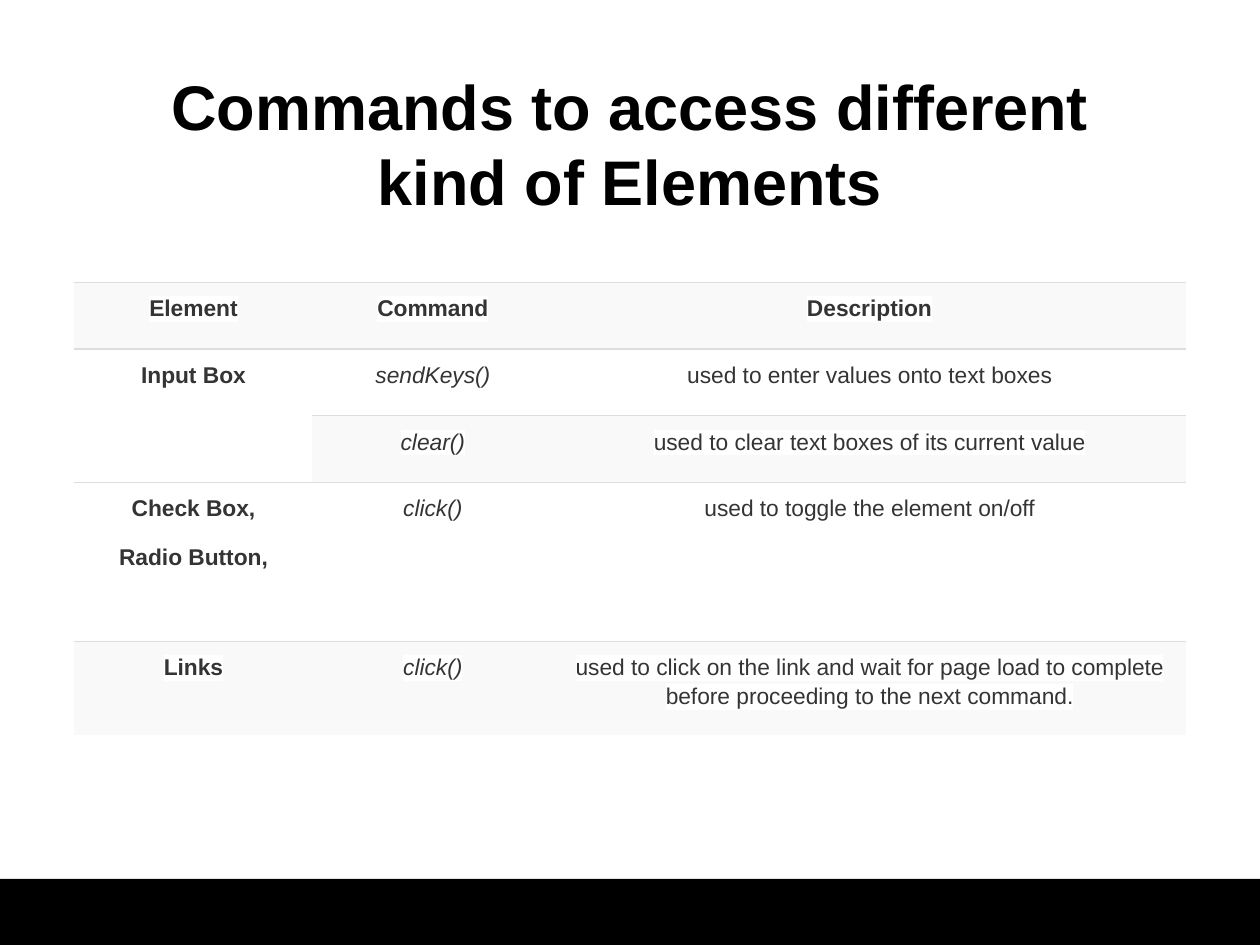
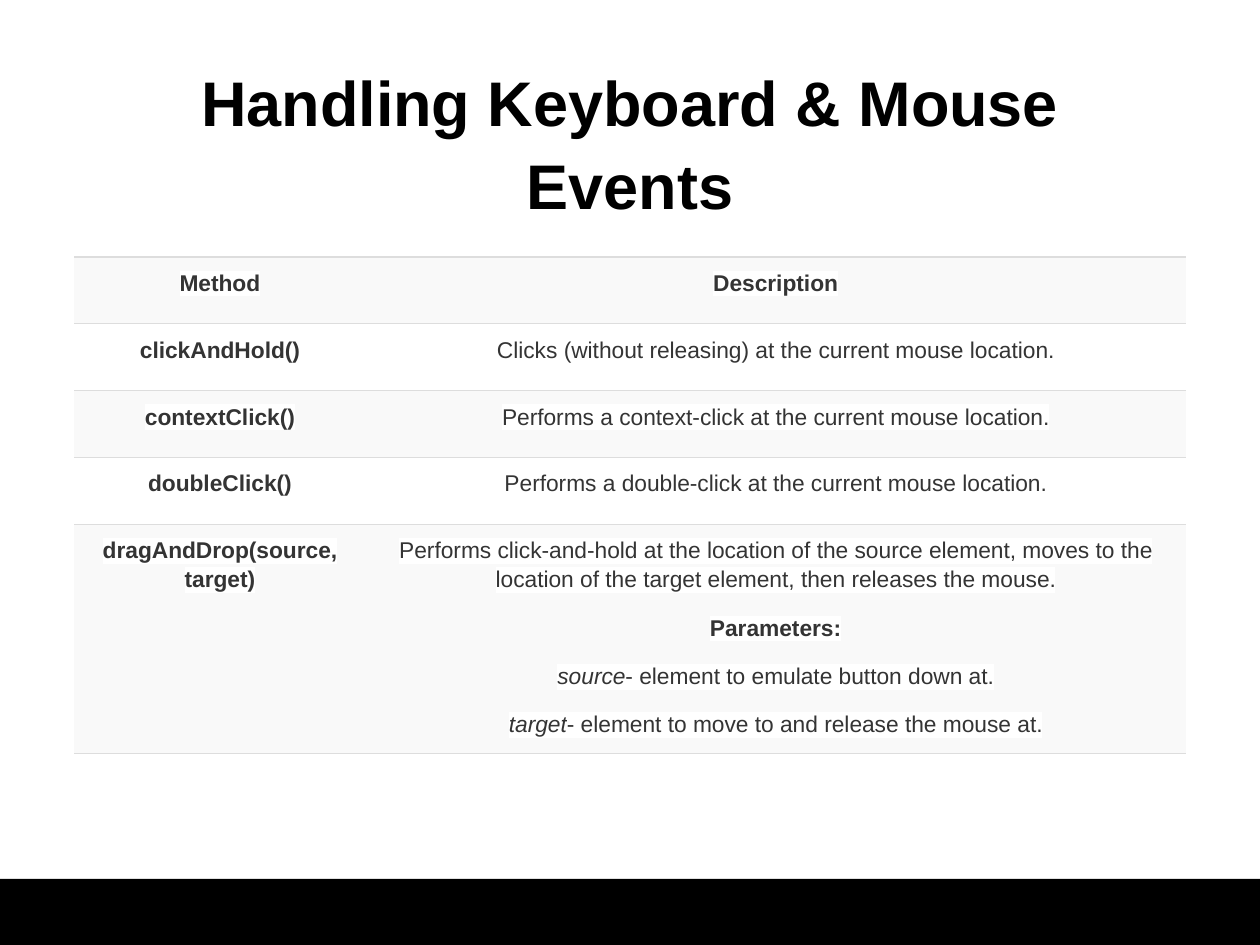
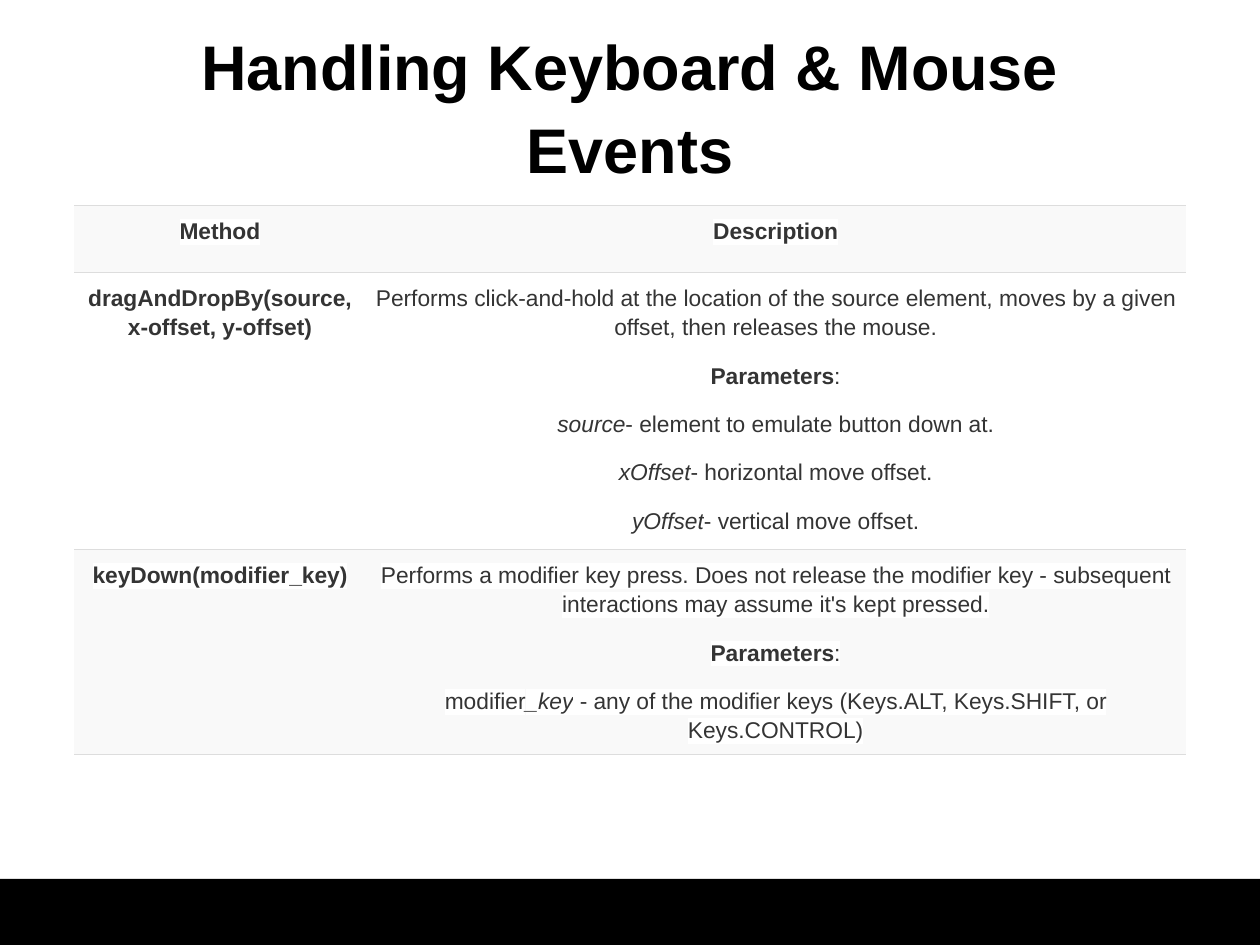
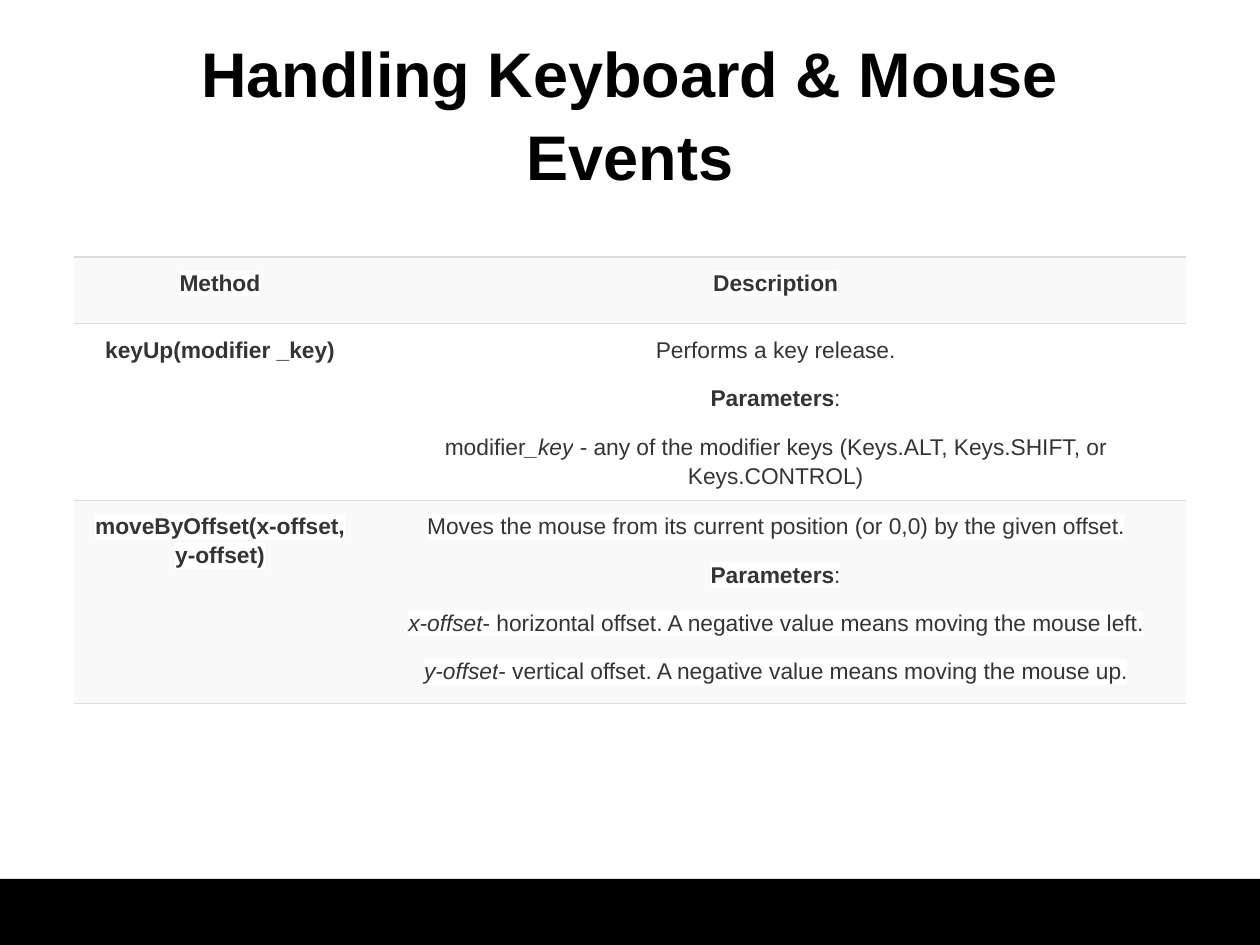
"""Build four slides on element commands and input events."""
import dataclasses
import typing

import lxml.etree
import pptx
import pptx.dml.color
import pptx.enum.shapes
import pptx.enum.text
import pptx.oxml.ns
import pptx.util

COLORS = {"band": "000000", "title": "000000", "text": "343434",
          "stripe": "F9F9F9", "plain": "FFFFFF", "rule": "DDDDDD"}
FONT = "Arial"
WIDTH, HEIGHT = pptx.util.Inches(10), pptx.util.Inches(7.5)
BAND_TOP = 0.93
TITLE_LEFT, TITLE_WIDTH, TITLE_HEIGHT = 0.075, 0.85, 1.61
TABLE_LEFT = 0.59
CELL_MARGIN = pptx.util.Inches(0.08)
HEADER_ROW = 0.53
CENTER = pptx.enum.text.PP_ALIGN.CENTER


class Run(typing.NamedTuple):
    """A piece of text with its emphasis."""
    text: str
    bold: bool = False
    italic: bool = False


class Row(typing.NamedTuple):
    """A table row: its height and, per cell, paragraphs made of runs."""
    height: float
    cells: list


@dataclasses.dataclass
class TableSlide:
    """A title over a table."""
    title: str
    title_top: float
    table_top: float
    columns: list[float]
    rows: list[Row]
    title_bottom_inset: float = 0.1
    title_spacing: float = 1.0
    title_gap: int = 0
    merged: typing.Optional[tuple] = None
    closing_rule: bool = True


def bold(text: str) -> list:
    """Return a paragraph in bold."""
    return [Run(text, bold=True)]


def plain(text: str) -> list:
    """Return a paragraph in regular type."""
    return [Run(text)]


def italic(name: str, rest: str = "") -> list:
    """Return a paragraph that opens in italics."""
    return [Run(name, italic=True)] + ([Run(rest)] if rest else [])


def header(*labels: str) -> Row:
    """Return the heading row of a table."""
    return Row(HEADER_ROW, [[bold(label)] for label in labels])


def command(height: float, method: str, *paragraphs: list) -> Row:
    """Return a row with a method and its description."""
    return Row(height, [[bold(method)], list(paragraphs)])


PARAMETERS = [Run("Parameters", bold=True), Run(":")]
MODIFIER = [Run("modifier"), Run("_key", italic=True),
            Run(" - any of the modifier keys (Keys.ALT, Keys.SHIFT, or Keys.CONTROL)")]
SOURCE = italic("source", "- element to emulate button down at.")


def events_slide(title_top: float, table_top: float, *rows: Row) -> TableSlide:
    """Return a slide of the keyboard and mouse series."""
    return TableSlide("Handling Keyboard & Mouse Events", title_top, table_top,
                      [2.31, 6.51], [header("Method", "Description"), *rows],
                      title_bottom_inset=0.82, title_spacing=1.1, title_gap=8)


SLIDES = [
    TableSlide(
        "Commands to access different kind of Elements", 0.33, 2.24, [1.89, 1.91, 5.02],
        [header("Element", "Command", "Description"),
         Row(0.53, [[bold("Input Box")], [italic("sendKeys()")],
                    [plain("used to enter values onto text boxes")]]),
         Row(0.53, [[], [italic("clear()")],
                    [plain("used to clear text boxes of its current value")]]),
         Row(1.26, [[bold("Check Box,"), bold("Radio Button,")], [italic("click()")],
                    [plain("used to toggle the element on/off")]]),
         Row(0.74, [[bold("Links")], [italic("click()")],
                    [plain("used to click on the link and wait for page load to complete "
                           "before proceeding to the next command.")]])],
        merged=((1, 0), (2, 0)), closing_rule=False),
    events_slide(
        0.66, 2.04,
        command(0.53, "clickAndHold()",
                plain("Clicks (without releasing) at the current mouse location.")),
        command(0.53, "contextClick()",
                plain("Performs a context-click at the current mouse location.")),
        command(0.53, "doubleClick()",
                plain("Performs a double-click at the current mouse location.")),
        command(1.82, "dragAndDrop(source, target)",
                plain("Performs click-and-hold at the location of the source element, moves "
                      "to the location of the target element, then releases the mouse."),
                bold("Parameters:"), SOURCE,
                italic("target", "- element to move to and release the mouse at."))),
    events_slide(
        0.37, 1.63,
        command(2.2, "dragAndDropBy(source, x-offset, y-offset)",
                plain("Performs click-and-hold at the location of the source element, moves "
                      "by a given offset, then releases the mouse."),
                PARAMETERS, SOURCE,
                italic("xOffset", "- horizontal move offset."),
                italic("yOffset", "- vertical move offset.")),
        command(1.63, "keyDown(modifier_key)",
                plain("Performs a modifier key press. Does not release the modifier key - "
                      "subsequent interactions may assume it's kept pressed."),
                PARAMETERS, MODIFIER)),
    events_slide(
        0.43, 2.04,
        command(1.4, "keyUp(modifier _key)", plain("Performs a key release."),
                PARAMETERS, MODIFIER),
        command(1.61, "moveByOffset(x-offset, y-offset)",
                plain("Moves the mouse from its current position (or 0,0) by the given offset."),
                PARAMETERS,
                italic("x-offset", "- horizontal offset. A negative value means moving the mouse left."),
                italic("y-offset", "- vertical offset. A negative value means moving the mouse up."))),
]


def rgb(name: str) -> pptx.dml.color.RGBColor:
    """Return a named colour."""
    return pptx.dml.color.RGBColor.from_string(COLORS[name])


def add_xml(parent: typing.Any, tag: str, **attributes: str) -> typing.Any:
    """Append a drawing element to a parent."""
    return lxml.etree.SubElement(parent, pptx.oxml.ns.qn(tag), attributes)


def add_text(p: typing.Any, text: str, *, size: float, color: str, bold: bool = False,
             italic: bool = False, highlight: str = "") -> None:
    """Add a formatted run to a paragraph."""
    r = p.add_run()
    r.text = text
    font = r.font
    font.size, font.bold, font.italic = pptx.util.Pt(size), bold, italic
    font.color.rgb = rgb(color)
    if highlight:
        mark = add_xml(r._r.get_or_add_rPr(), "a:highlight")
        add_xml(mark, "a:srgbClr", val=COLORS[highlight])
    font.name = FONT


def space(p: typing.Any, line: float, before: float, after: float) -> None:
    """Centre a paragraph and set its spacing."""
    p.alignment, p.line_spacing = CENTER, line
    p.space_before, p.space_after = pptx.util.Pt(before), pptx.util.Pt(after)


def rule_cell(cell: typing.Any, bottom: bool) -> None:
    """Draw the horizontal rules of a cell and clear its sides."""
    tc_pr = cell._tc.get_or_add_tcPr()
    edges = {"a:lnL": False, "a:lnR": False, "a:lnT": True, "a:lnB": bottom}
    for index, (tag, visible) in enumerate(edges.items()):
        line = add_xml(tc_pr, tag, w=str(pptx.util.Pt(0.75)))
        tc_pr.insert(index, line)
        if visible:
            add_xml(add_xml(line, "a:solidFill"), "a:srgbClr", val=COLORS["rule"])
        else:
            add_xml(line, "a:noFill")


def fill_cell(cell: typing.Any, paragraphs: list, fill: str, bottom: bool) -> None:
    """Write and format one table cell."""
    cell.margin_left = cell.margin_right = CELL_MARGIN
    cell.margin_top = cell.margin_bottom = CELL_MARGIN
    cell.fill.solid()
    cell.fill.fore_color.rgb = rgb(fill)
    rule_cell(cell, bottom)
    tf = cell.text_frame
    for index, runs in enumerate(paragraphs):
        p = tf.add_paragraph() if index else tf.paragraphs[0]
        space(p, 1.15, 0, 11)
        for run in runs:
            add_text(p, run.text, size=13, color="text", bold=run.bold,
                     italic=run.italic, highlight="plain")


def add_table(s: typing.Any, content: TableSlide) -> None:
    """Add the striped table of a slide."""
    inches = pptx.util.Inches
    rows, columns = content.rows, content.columns
    table = s.shapes.add_table(
        len(rows), len(columns), inches(TABLE_LEFT), inches(content.table_top),
        inches(sum(columns)), inches(sum(row.height for row in rows))).table
    table.first_row = table.horz_banding = False
    for column, width in zip(table.columns, columns):
        column.width = inches(width)
    if content.merged:
        first, last = content.merged
        table.cell(*first).merge(table.cell(*last))
    for i, row in enumerate(rows):
        table.rows[i].height = inches(row.height)
        bottom = content.closing_rule or i < len(rows) - 1
        for j, paragraphs in enumerate(row.cells):
            cell = table.cell(i, j)
            if not cell.is_spanned:
                fill_cell(cell, paragraphs, "plain" if i % 2 else "stripe", bottom)


def set_title(s: typing.Any, content: TableSlide) -> None:
    """Place and write the title of a slide."""
    sp = s.shapes.title
    sp.left, sp.top = int(WIDTH * TITLE_LEFT), pptx.util.Inches(content.title_top)
    sp.width, sp.height = int(WIDTH * TITLE_WIDTH), pptx.util.Inches(TITLE_HEIGHT)
    tf = sp.text_frame
    tf.word_wrap, tf.auto_size = True, pptx.enum.text.MSO_AUTO_SIZE.NONE
    tf.vertical_anchor = pptx.enum.text.MSO_ANCHOR.MIDDLE
    tf.margin_left = tf.margin_right = tf.margin_top = pptx.util.Inches(0.1)
    tf.margin_bottom = pptx.util.Inches(content.title_bottom_inset)
    p = tf.paragraphs[0]
    space(p, content.title_spacing, content.title_gap, content.title_gap)
    add_text(p, content.title, size=36, color="title", bold=True)


def add_band(s: typing.Any) -> None:
    """Put the footer band on the layout shared by all slides."""
    top = int(HEIGHT * BAND_TOP)
    sp = s.shapes.add_shape(pptx.enum.shapes.MSO_SHAPE.RECTANGLE, 0, top, WIDTH, HEIGHT - top)
    sp.shadow.inherit = False
    sp.fill.solid()
    sp.fill.fore_color.rgb = rgb("band")
    sp.line.fill.background()
    s.slide_layout.shapes.element.append(sp.element)


def main() -> None:
    """Build and save the presentation."""
    prs = pptx.Presentation()
    prs.slide_width, prs.slide_height = WIDTH, HEIGHT
    for index, content in enumerate(SLIDES):
        s = prs.slides.add_slide(prs.slide_layouts[0])
        subtitle = s.placeholders[1].element
        subtitle.getparent().remove(subtitle)
        if index == 0:
            add_band(s)
        set_title(s, content)
        add_table(s, content)
    prs.save("out.pptx")


if __name__ == "__main__":
    main()
